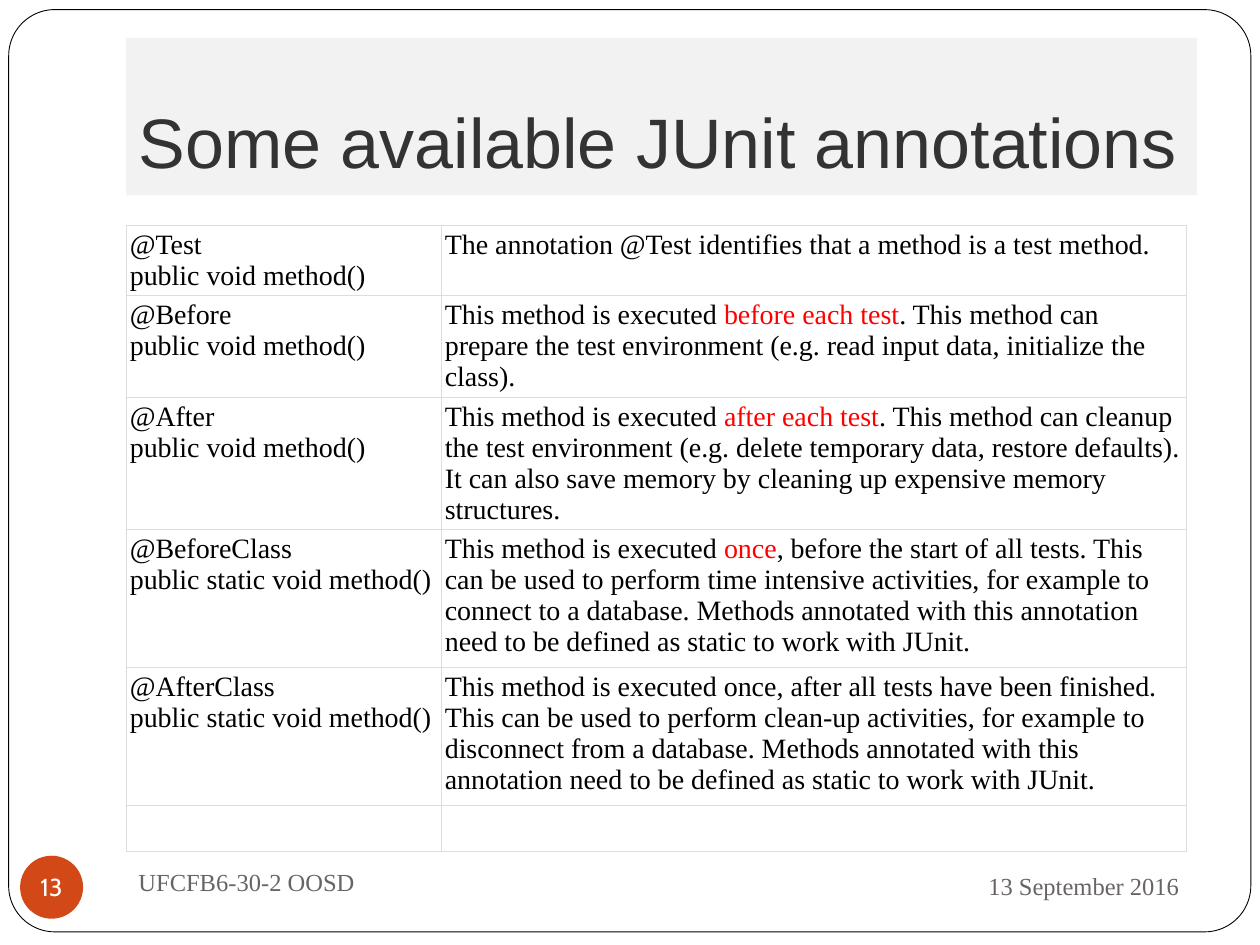
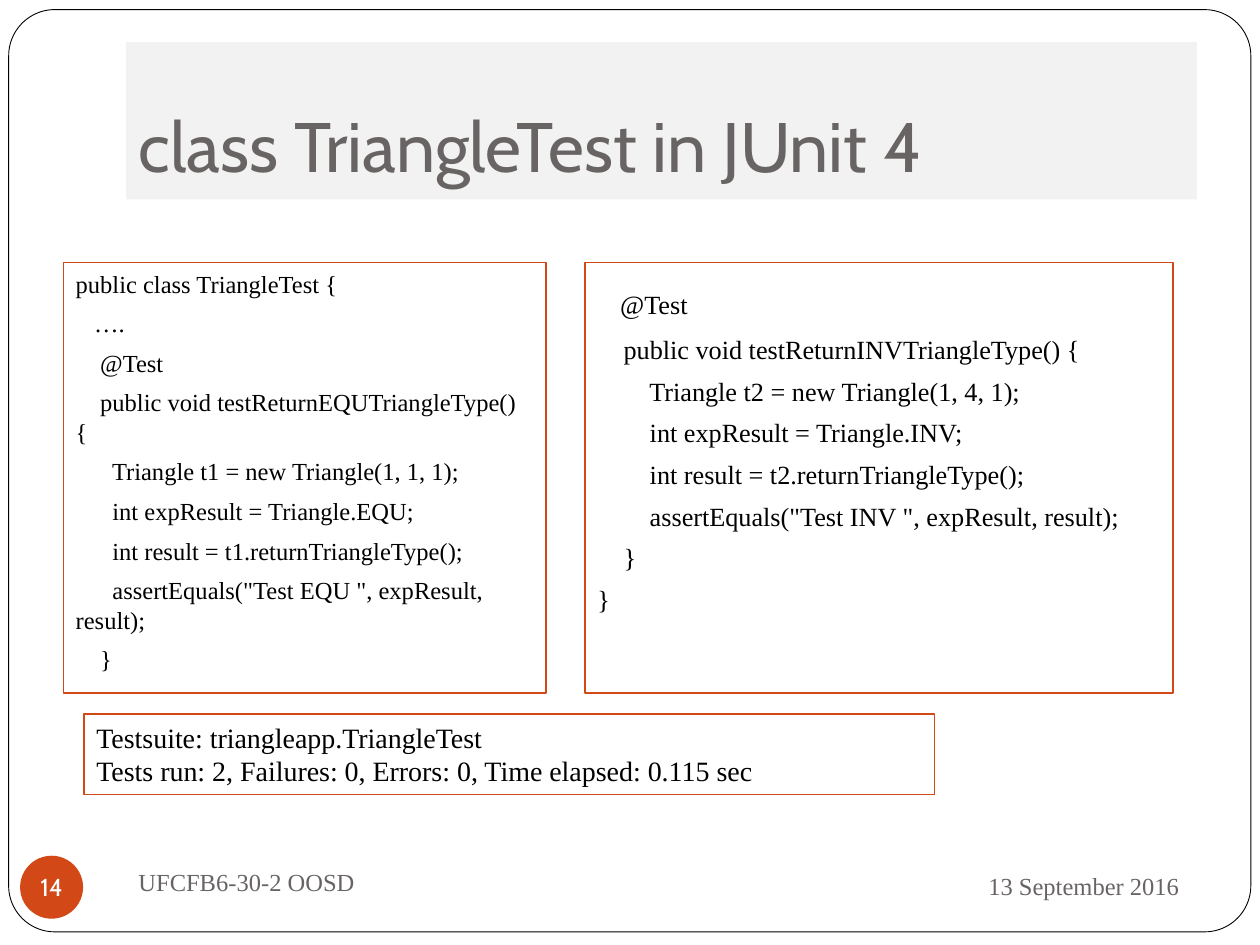
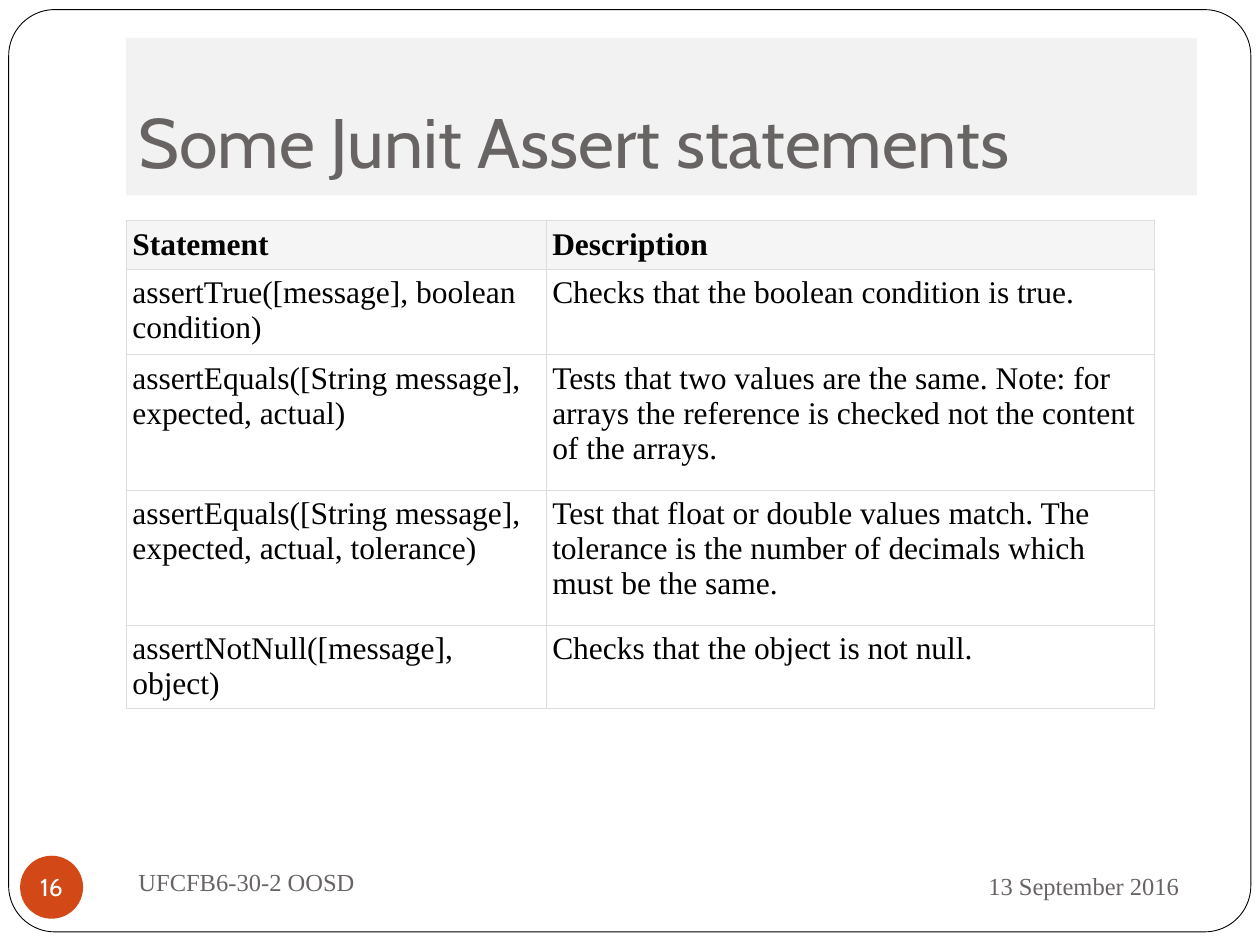
from dataclasses import dataclass

from lxml import etree
from pptx import Presentation
from pptx import util as u
from pptx.dml.color import RGBColor
from pptx.enum import shapes, text
from pptx.oxml import ns

Pt = u.Pt


@dataclass(frozen=True)
class Theme:
    white: str = "FFFFFF"
    black: str = "000000"
    band: str = "F2F2F2"
    header: str = "F5F5F5"
    border: str = "DDDDDD"
    muted: str = "696464"
    dark: str = "333333"
    accent: str = "D34817"
    highlight: str = "FF0000"
    serif: str = "Times New Roman"
    heading: str = "Cabin"
    plain: str = "Arial"
    title_size: float = 40
    table_size: float = 18
    body_size: float = 16
    code_size: float = 15
    small_size: float = 14
    indent_size: float = 26
    code_gap: float = 5.8
    table_leading: float = 1.11


THEME = Theme()

ANNOTATIONS = [
    ("@Test\npublic void method()",
     "The annotation @Test identifies that a method is a test method."),
    ("@Before\npublic void method()",
     "This method is executed |before each test|. This method can prepare the test "
     "environment (e.g. read input data, initialize the class)."),
    ("@After\npublic void method()",
     "This method is executed |after each test|. This method can cleanup the test "
     "environment (e.g. delete temporary data, restore defaults). It can also save "
     "memory by cleaning up expensive memory structures."),
    ("@BeforeClass\npublic static void method()",
     "This method is executed |once|, before the start of all tests. This can be used "
     "to perform time intensive activities, for example to connect to a database. "
     "Methods annotated with this annotation need to be defined as static to work "
     "with JUnit."),
    ("@AfterClass\npublic static void method()",
     "This method is executed once, after all tests have been finished. This can be "
     "used to perform clean-up activities, for example to disconnect from a database. "
     "Methods annotated with this annotation need to be defined as static to work "
     "with JUnit."),
    ("", ""),
]

ASSERTIONS = [
    ("Statement", "Description"),
    ("assertTrue([message], boolean condition)",
     "Checks that the boolean condition is true."),
    ("assertEquals([String message], expected, actual)",
     "Tests that two values are the same. Note: for arrays the reference is checked "
     "not the content of the arrays."),
    ("assertEquals([String message], expected, actual, tolerance)",
     "Test that float or double values match. The tolerance is the number of decimals "
     "which must be the same."),
    ("assertNotNull([message], object)", "Checks that the object is not null."),
]

EQUILATERAL_TEST = """public class TriangleTest {
   ….
    @Test
    public void testReturnEQUTriangleType() {
      Triangle t1 = new Triangle(1, 1, 1);
      int expResult = Triangle.EQU;
      int result = t1.returnTriangleType();
      assertEquals("Test EQU ", expResult, result);
    }"""

INVALID_TEST = """@Test
    public void testReturnINVTriangleType() {
        Triangle t2 = new Triangle(1, 4, 1);
        int expResult = Triangle.INV;
        int result = t2.returnTriangleType();
        assertEquals("Test INV ", expResult, result);
    }
}"""

TEST_REPORT = """Testsuite: triangleapp.TriangleTest
Tests run: 2, Failures: 0, Errors: 0, Time elapsed: 0.115 sec"""


def apply(target, formats):
    for name, value in formats.items():
        setattr(target, name, value)


def color(value):
    return RGBColor.from_string(value)


def add_run(paragraph, words, size, tint=THEME.black, font=THEME.serif, bold=False):
    run = paragraph.add_run()
    run.text = words
    apply(run.font, {"size": Pt(size), "name": font, "bold": bold})
    run.font.color.rgb = color(tint)


def write_lines(frame, words, size, paragraph_format=None, gap=0, **run_format):
    for index, line in enumerate(words.split("\n")):
        paragraph = frame.add_paragraph() if index else frame.paragraphs[0]
        apply(paragraph, paragraph_format or {})
        if index and gap:
            paragraph.space_before = Pt(gap)
        for part, piece in enumerate(line.split("|")):
            if piece:
                tint = {"tint": THEME.highlight} if part % 2 else {}
                add_run(paragraph, piece, size, **{**run_format, **tint})


def set_margins(target, left, top, right, bottom):
    apply(target, {"margin_left": Pt(left), "margin_top": Pt(top),
                   "margin_right": Pt(right), "margin_bottom": Pt(bottom)})


def add_outline(slide, kind, box, fill=None, line=None, width=0.75):
    shape = slide.shapes.add_shape(kind, *map(Pt, box))
    shape.shadow.inherit = False
    for part, tint in ((shape.fill, fill), (shape.line.fill, line)):
        if tint:
            part.solid()
            part.fore_color.rgb = color(tint)
        else:
            part.background()
    if line:
        shape.line.width = Pt(width)
    return shape


def add_label(slide, box, words, align):
    frame = slide.shapes.add_textbox(*map(Pt, box)).text_frame
    apply(frame, {"word_wrap": True, "vertical_anchor": text.MSO_ANCHOR.MIDDLE})
    write_lines(frame, words, THEME.small_size, {"alignment": align}, tint=THEME.muted)


def add_number(slide, number):
    badge = add_outline(slide, shapes.MSO_SHAPE.OVAL, (11.5, 489, 36, 36), THEME.accent)
    frame = badge.text_frame
    apply(frame, {"word_wrap": False, "vertical_anchor": text.MSO_ANCHOR.MIDDLE})
    set_margins(frame, 0, 0, 0, 0)
    write_lines(frame, str(number), THEME.small_size,
                {"alignment": text.PP_ALIGN.CENTER},
                tint=THEME.white, font=THEME.heading)


def add_title(slide, words, top, tint, font):
    title = slide.shapes.title
    apply(title, {"left": Pt(72), "top": Pt(top), "width": Pt(612), "height": Pt(90)})
    title.fill.solid()
    title.fill.fore_color.rgb = color(THEME.band)
    frame = title.text_frame
    apply(frame, {"word_wrap": True, "auto_size": text.MSO_AUTO_SIZE.NONE,
                  "vertical_anchor": text.MSO_ANCHOR.BOTTOM})
    set_margins(frame, 7.2, 3.6, 7.2, 7.2)
    write_lines(frame, words, THEME.title_size, {"alignment": text.PP_ALIGN.LEFT},
                tint=tint, font=font)


def add_slide(presentation, number, title, top=21.6, tint=THEME.muted,
              font=THEME.heading):
    slide = presentation.slides.add_slide(presentation.slide_layouts[5])
    frame = add_outline(slide, shapes.MSO_SHAPE.ROUNDED_RECTANGLE,
                        (5, 5.5, 709.8, 527), line=THEME.black, width=0.5)
    frame.adjustments[0] = 0.05
    add_title(slide, title, top, tint, font)
    add_label(slide, (486, 487.5, 195, 37.5), "13 September 2016", text.PP_ALIGN.RIGHT)
    add_label(slide, (72, 486, 312, 36), "UFCFB6-30-2 OOSD", text.PP_ALIGN.LEFT)
    add_number(slide, number)
    return slide


def add_panel(slide, box, words, size, gap=0, indent=""):
    panel = add_outline(slide, shapes.MSO_SHAPE.RECTANGLE, box, line=THEME.accent)
    frame = panel.text_frame
    apply(frame, {"word_wrap": True, "vertical_anchor": text.MSO_ANCHOR.TOP})
    if indent:
        add_run(frame.paragraphs[0], indent, THEME.indent_size)
    write_lines(frame, words, size, {"alignment": text.PP_ALIGN.LEFT}, gap)


def border_cell(cell):
    properties = cell._tc.get_or_add_tcPr()
    for position, side in enumerate(("a:lnL", "a:lnR", "a:lnT", "a:lnB")):
        line = etree.Element(ns.qn(side), w=str(Pt(0.6)))
        fill = etree.SubElement(line, ns.qn("a:solidFill"))
        etree.SubElement(fill, ns.qn("a:srgbClr"), val=THEME.border)
        properties.insert(position, line)


def add_grid(slide, origin, widths, heights, rows, size, margin, header=False):
    table = slide.shapes.add_table(len(rows), len(widths), *map(Pt, origin),
                                   Pt(sum(widths)), Pt(sum(heights))).table
    apply(table, {"first_row": header, "horz_banding": False})
    for column, width in zip(table.columns, widths):
        column.width = Pt(width)
    for row, height in zip(table.rows, heights):
        row.height = Pt(height)
    leading = {"line_spacing": Pt(size * THEME.table_leading)}
    for row_index, row in enumerate(rows):
        is_header = header and row_index == 0
        for column_index, words in enumerate(row):
            cell = table.cell(row_index, column_index)
            set_margins(cell, *[margin] * 4)
            if is_header:
                cell.fill.solid()
                cell.fill.fore_color.rgb = color(THEME.header)
                cell.vertical_anchor = text.MSO_ANCHOR.MIDDLE
            else:
                cell.fill.background()
            write_lines(cell.text_frame, words, size, leading, bold=is_header)
            border_cell(cell)


def main():
    presentation = Presentation()
    apply(presentation, {"slide_width": Pt(720), "slide_height": Pt(540)})

    slide = add_slide(presentation, 13, "Some available JUnit annotations",
                      tint=THEME.dark, font=THEME.plain)
    add_grid(slide, (72, 128.8), (180, 426), (40, 58.3, 75.5, 78.8, 78.8, 26.5),
             ANNOTATIONS, THEME.body_size, 2.2)

    slide = add_slide(presentation, 14, "class TriangleTest in JUnit 4", top=24)
    add_panel(slide, (36.2, 150, 275.8, 246), EQUILATERAL_TEST, THEME.small_size,
              THEME.code_gap)
    add_panel(slide, (334.3, 150, 336, 246), INVALID_TEST, THEME.code_size,
              THEME.code_gap, indent="  ")
    add_panel(slide, (48, 408, 486, 46), TEST_REPORT, THEME.body_size)

    slide = add_slide(presentation, 16, "Some Junit Assert statements")
    add_grid(slide, (72, 126), (240, 348), (28, 48.7, 77.5, 77.2, 47.5),
             ASSERTIONS, THEME.table_size, 3.6, header=True)

    presentation.save("out.pptx")


if __name__ == "__main__":
    main()
